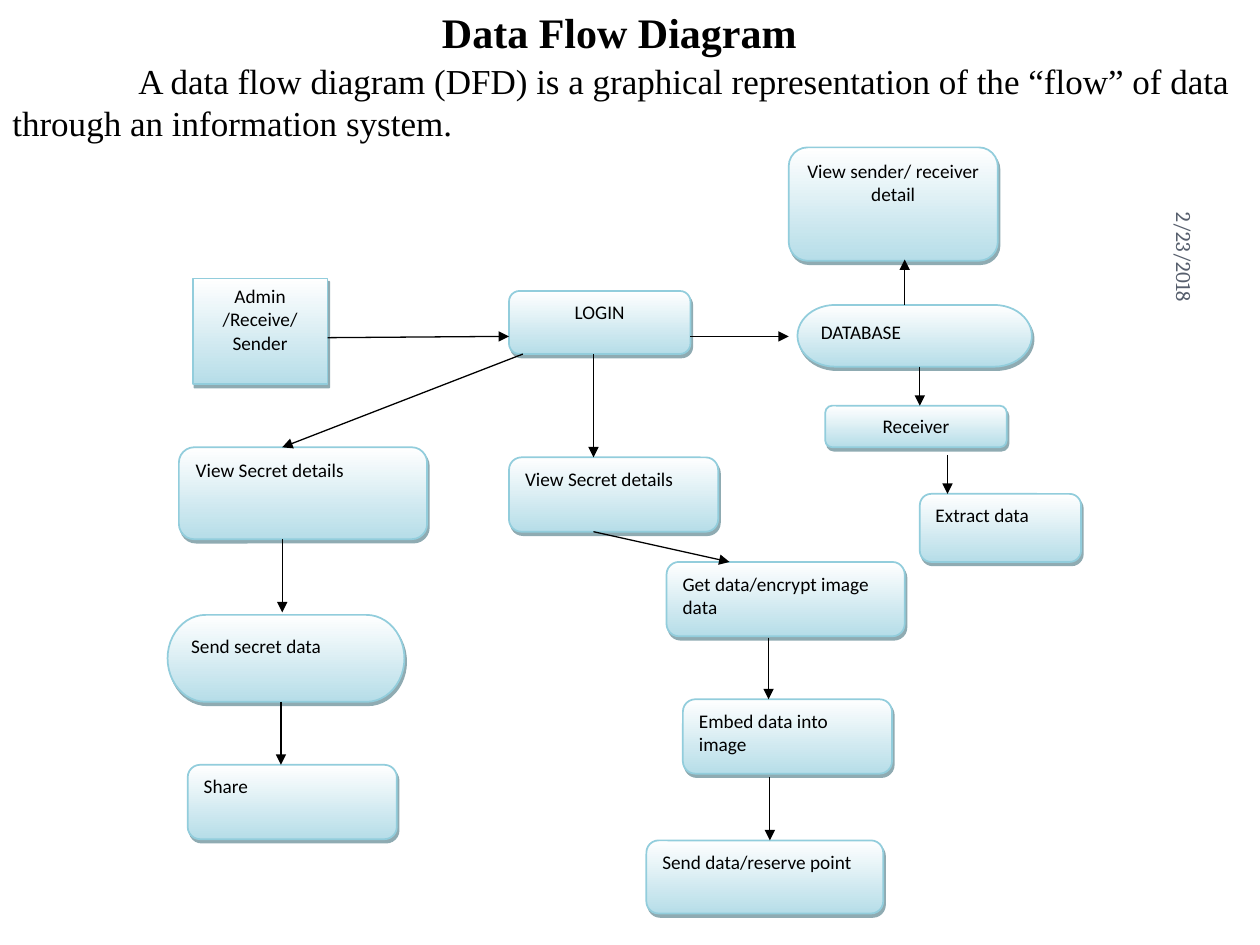
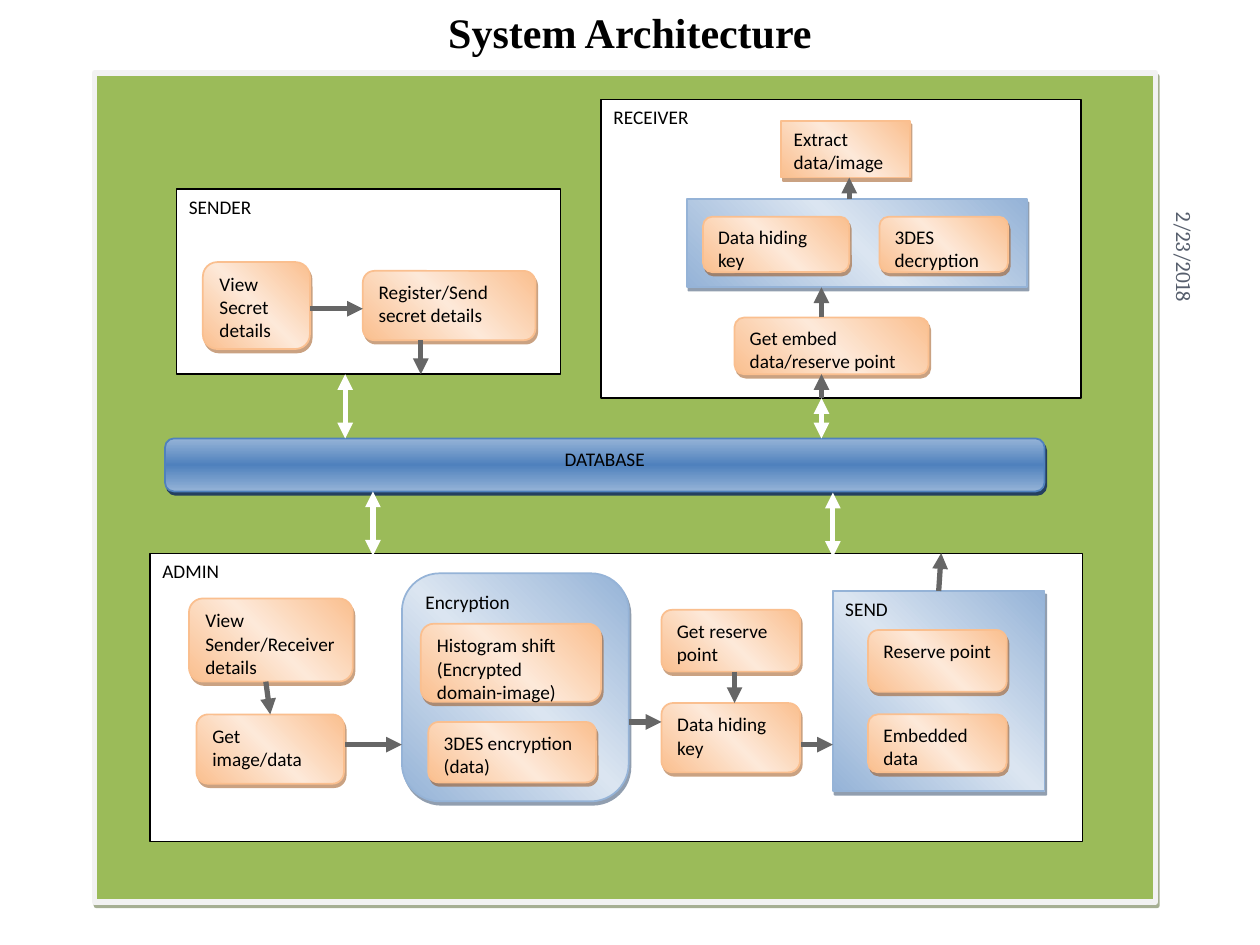
import dataclasses
import typing

import lxml.etree
import pptx
import pptx.dml.color
import pptx.enum.shapes
import pptx.enum.text
import pptx.oxml.ns
import pptx.util

Inches = pptx.util.Inches
Pt = pptx.util.Pt
Align = pptx.enum.text.PP_ALIGN
Anchor = pptx.enum.text.MSO_ANCHOR
Kind = pptx.enum.shapes.MSO_SHAPE
qn = pptx.oxml.ns.qn

RECT = Kind.RECTANGLE
ROUND = Kind.ROUNDED_RECTANGLE
PILL = Kind.FLOWCHART_TERMINATOR
PROCESS = Kind.FLOWCHART_ALTERNATE_PROCESS


@dataclasses.dataclass(frozen=True)
class Font:
    name: str
    size: float
    color: str = "000000"
    bold: bool = False


@dataclasses.dataclass(frozen=True)
class Skin:
    """One colour is a solid fill; several are evenly spaced gradient stops."""
    colors: tuple[str, ...]
    line: str
    line_width: float = 1
    angle: int = 45
    shadow: str = ""
    shadow_opacity: int = 50


@dataclasses.dataclass(frozen=True)
class Theme:
    title: Font = Font("Times New Roman", 24, bold=True)
    body: Font = Font("Times New Roman", 20)
    label: Font = Font("Calibri", 11)
    date: Font = Font("Cambria", 12, "575F6D")
    aqua: Skin = Skin(("FFFFFF", "B6DDE8"), "92CDDC", angle=270, shadow="205867")
    orange: Skin = Skin(("FABF8F", "FDE9D9", "FABF8F"), "FABF8F", shadow="974706")
    blue: Skin = Skin(("95B3D7", "DBE5F1", "95B3D7"), "95B3D7", shadow="243F60")
    database: Skin = Skin(("95B3D7", "4F81BD", "95B3D7"), "4F81BD", angle=270,
                          shadow="243F60", shadow_opacity=100)
    panel: Skin = Skin(("FFFFFF",), "000000", 0.75)
    backdrop: Skin = Skin(("9BBB59",), "F2F2F2", 3, shadow="4E6128")
    thin_arrow: tuple[str, float] = ("000000", 0.75)
    inner_arrow: tuple[str, float] = ("666666", 3)
    link_arrow: tuple[str, float] = ("FFFFFF", 3)


THEME = Theme()


class Box(typing.NamedTuple):
    left: float
    top: float
    width: float
    height: float
    text: str = ""
    skin: Skin = THEME.orange
    kind: Kind = PROCESS
    align: Align = Align.LEFT


class Arrow(typing.NamedTuple):
    x1: float
    y1: float
    x2: float
    y2: float
    pen: tuple[str, float] = THEME.inner_arrow
    both_ends: bool = False


def aqua(left: float, top: float, width: float, height: float, text: str,
         kind: Kind = ROUND, align: Align = Align.LEFT) -> Box:
    return Box(left, top, width, height, text, THEME.aqua, kind, align)


def thin(x1: float, y1: float, x2: float, y2: float) -> Arrow:
    return Arrow(x1, y1, x2, y2, THEME.thin_arrow)


def link(x: float, top: float, bottom: float) -> Arrow:
    """Two-headed vertical arrow between the database and a panel."""
    return Arrow(x, top, x, bottom, THEME.link_arrow, True)


FLOW_BOXES = [
    aqua(1.53, 2.21, 1.07, 0.84, "Admin\n/Receive/Sender", RECT, Align.CENTER),
    aqua(4.04, 2.31, 1.44, 0.5, "LOGIN", align=Align.CENTER),
    aqua(6.26, 1.17, 1.66, 0.9, "View sender/ receiver detail", align=Align.CENTER),
    aqua(6.33, 2.42, 1.86, 0.49, "DATABASE", PILL),
    aqua(6.55, 3.22, 1.44, 0.33, "Receiver", align=Align.CENTER),
    aqua(7.3, 3.92, 1.28, 0.54, "Extract data"),
    aqua(1.42, 3.55, 1.97, 0.73, "View Secret details"),
    aqua(1.33, 4.88, 1.88, 0.69, "Send secret data", PILL),
    aqua(1.49, 6.07, 1.66, 0.59, "Share"),
    aqua(4.04, 3.63, 1.66, 0.59, "View Secret details"),
    aqua(5.29, 4.46, 1.89, 0.59, "Get data/encrypt image data"),
    aqua(5.42, 5.55, 1.66, 0.59, "Embed data into image"),
    aqua(5.13, 6.67, 1.88, 0.58, "Send data/reserve point"),
]

FLOW_ARROWS = [
    thin(2.6, 2.68, 4.04, 2.67),
    thin(5.48, 2.67, 6.26, 2.67),
    thin(7.18, 2.42, 7.18, 2.06),
    thin(7.3, 2.91, 7.3, 3.22),
    thin(7.52, 3.61, 7.52, 3.92),
    thin(4.15, 2.81, 2.24, 3.55),
    thin(2.24, 4.28, 2.24, 4.86),
    thin(2.23, 5.57, 2.23, 6.07),
    thin(4.71, 2.81, 4.71, 3.63),
    thin(4.71, 4.22, 5.79, 4.46),
    thin(6.1, 5.06, 6.1, 5.55),
    thin(6.11, 6.17, 6.11, 6.67),
]

ARCHITECTURE_BOXES = [
    Box(0.75, 0.58, 8.42, 6.58, skin=THEME.backdrop, kind=RECT),
    Box(1.31, 3.48, 6.98, 0.42, "DATABASE", THEME.database, align=Align.CENTER),
    Box(1.4, 1.5, 3.05, 1.47, "SENDER", THEME.panel, RECT),
    Box(1.61, 2.08, 0.85, 0.69, "View Secret details", kind=ROUND),
    Box(2.88, 2.15, 1.37, 0.55, "Register/Send secret details", kind=ROUND),
    Box(4.77, 0.79, 3.81, 2.37, "RECEIVER", THEME.panel, RECT),
    Box(6.2, 0.96, 1.02, 0.45, "Extract data/image", kind=RECT),
    Box(5.45, 1.58, 2.7, 0.7, skin=THEME.blue, kind=RECT),
    Box(5.58, 1.72, 1.16, 0.44, "Data hiding key", kind=ROUND),
    Box(6.98, 1.72, 1.02, 0.44, "3DES decryption"),
    Box(5.83, 2.52, 1.54, 0.45, "Get embed data/reserve point"),
    Box(1.19, 4.39, 7.4, 2.29, "ADMIN", THEME.panel, RECT),
    Box(1.5, 4.75, 1.3, 0.66, "View Sender/Receiver details"),
    Box(1.56, 5.67, 1.17, 0.55, "Get image/data"),
    Box(3.19, 4.55, 1.8, 1.81, "Encryption", THEME.blue),
    Box(3.34, 4.95, 1.43, 0.62, "Histogram shift (Encrypted domain-image)"),
    Box(3.4, 5.73, 1.33, 0.48, "3DES encryption (data)"),
    Box(5.25, 4.84, 1.1, 0.49, "Get reserve point"),
    Box(5.25, 5.58, 1.1, 0.55, "Data hiding key"),
    Box(6.61, 4.69, 1.68, 1.59, "SEND", THEME.blue, RECT),
    Box(6.89, 5, 1.1, 0.49, "Reserve point"),
    Box(6.89, 5.67, 1.1, 0.46, "Embedded data"),
]

ARCHITECTURE_ARROWS = [
    Arrow(2.46, 2.45, 2.88, 2.45),
    Arrow(3.34, 2.7, 3.34, 2.97),
    link(2.74, 2.97, 3.48),
    link(2.96, 3.9, 4.41),
    link(6.61, 3.91, 4.42),
    link(6.52, 3.16, 3.48),
    Arrow(2.11, 5.41, 2.12, 5.67),
    Arrow(2.74, 5.91, 3.19, 5.91),
    Arrow(4.99, 5.73, 5.25, 5.73),
    Arrow(5.83, 5.33, 5.83, 5.58),
    Arrow(6.36, 5.91, 6.61, 5.91),
    Arrow(7.46, 4.69, 7.47, 4.39),
    Arrow(6.52, 3.16, 6.52, 2.97),
    Arrow(6.52, 2.52, 6.52, 2.28),
    Arrow(6.74, 1.58, 6.74, 1.41),
]


def rgb(color: str) -> pptx.dml.color.RGBColor:
    return pptx.dml.color.RGBColor.from_string(color)


def add_xml(parent, tag: str, **attributes):
    names = {name: str(value) for name, value in attributes.items()}
    return lxml.etree.SubElement(parent, qn(tag), names)


def write(frame, text: str, font: Font, align: Align = Align.LEFT,
          anchor: Anchor = Anchor.TOP) -> None:
    frame.word_wrap = True
    frame.auto_size = pptx.enum.text.MSO_AUTO_SIZE.NONE
    frame.vertical_anchor = anchor
    for index, line in enumerate(text.split("\n")):
        para = frame.add_paragraph() if index else frame.paragraphs[0]
        para.alignment = align
        span = para.add_run()
        span.text = line
        span.font.name = font.name
        span.font.size = Pt(font.size)
        span.font.bold = font.bold
        span.font.color.rgb = rgb(font.color)


def paint(shape, skin: Skin) -> None:
    if len(skin.colors) == 1:
        shape.fill.solid()
        shape.fill.fore_color.rgb = rgb(skin.colors[0])
    else:
        shape.fill.gradient()
        shape.fill.gradient_angle = skin.angle
        stops = shape._element.spPr.find(".//" + qn("a:gsLst"))
        stops.clear()
        for index, color in enumerate(skin.colors):
            position = 100000 * index // (len(skin.colors) - 1)
            stop = add_xml(stops, "a:gs", pos=position)
            add_xml(stop, "a:srgbClr", val=color)
    shape.line.color.rgb = rgb(skin.line)
    shape.line.width = Pt(skin.line_width)
    shape.shadow.inherit = False
    if skin.shadow:
        effects = shape._element.spPr.find(qn("a:effectLst"))
        shadow = add_xml(effects, "a:outerShdw", dist=Pt(2.2), dir=63 * 60000,
                         algn="ctr", rotWithShape=0)
        color = add_xml(shadow, "a:srgbClr", val=skin.shadow)
        add_xml(color, "a:alpha", val=skin.shadow_opacity * 1000)


def draw_box(page, box: Box):
    shape = page.shapes.add_shape(box.kind, Inches(box.left), Inches(box.top),
                                  Inches(box.width), Inches(box.height))
    paint(shape, box.skin)
    if box.text:
        write(shape.text_frame, box.text, THEME.label, box.align)
    return shape


def find_site(x: float, y: float, boxes: list[Box]) -> tuple[int, int] | None:
    """Index of the box, and of its side, whose middle lies at this point."""
    for index, box in enumerate(boxes):
        middle, center = box.left + box.width / 2, box.top + box.height / 2
        sides = ((middle, box.top), (box.left, center),
                 (middle, box.top + box.height), (box.left + box.width, center))
        for side, (side_x, side_y) in enumerate(sides):
            if max(abs(x - side_x), abs(y - side_y)) < 0.025:
                return index, side
    return None


def draw_arrow(page, arrow: Arrow, boxes: list[Box], shapes: list) -> None:
    connector = page.shapes.add_connector(
        pptx.enum.shapes.MSO_CONNECTOR.STRAIGHT, Inches(arrow.x1), Inches(arrow.y1),
        Inches(arrow.x2), Inches(arrow.y2))
    color, width = arrow.pen
    connector.line.color.rgb = rgb(color)
    connector.line.width = Pt(width)
    properties = connector._element.spPr
    outline = properties.find(qn("a:ln"))
    if arrow.both_ends:
        add_xml(outline, "a:headEnd", type="triangle")
    add_xml(outline, "a:tailEnd", type="triangle")
    add_xml(properties, "a:effectLst")
    for x, y, connect in ((arrow.x1, arrow.y1, connector.begin_connect),
                          (arrow.x2, arrow.y2, connector.end_connect)):
        site = find_site(x, y, boxes)
        if site:
            connect(shapes[site[0]], site[1])


def add_page(deck, title: str, title_width: float, boxes: list[Box],
             arrows: list[Arrow]):
    page = deck.slides.add_slide(deck.slide_layouts.get_by_name("Title Only"))
    heading = page.shapes.title
    heading.left, heading.top = Inches(0), Inches(0)
    heading.width, heading.height = Inches(title_width), Inches(0.5)
    write(heading.text_frame, title, THEME.title, Align.CENTER, Anchor.MIDDLE)
    shapes = [draw_box(page, box) for box in boxes]
    for arrow in arrows:
        draw_arrow(page, arrow, boxes, shapes)
    date = page.shapes.add_textbox(Inches(8.3), Inches(1.18), Inches(2.2), Inches(0.42))
    date.rotation = 90
    write(date.text_frame, "2/23/2018", THEME.date, Align.RIGHT, Anchor.MIDDLE)
    return page


def add_definition(page) -> None:
    box = page.shapes.add_textbox(Inches(0), Inches(0.42), Inches(10), Inches(0.77))
    write(box.text_frame, "A data flow diagram (DFD) is a graphical representation of "
          "the “flow” of data through an information system.", THEME.body)
    para = box.text_frame.paragraphs[0]
    para._p.get_or_add_pPr().set("indent", str(Inches(1)))


def main() -> None:
    deck = pptx.Presentation()
    deck.slide_width, deck.slide_height = Inches(10), Inches(7.5)
    flow_page = add_page(deck, "Data Flow Diagram", 9.83, FLOW_BOXES, FLOW_ARROWS)
    add_definition(flow_page)
    add_page(deck, "System Architecture", 10, ARCHITECTURE_BOXES, ARCHITECTURE_ARROWS)
    deck.save("out.pptx")


if __name__ == "__main__":
    main()
